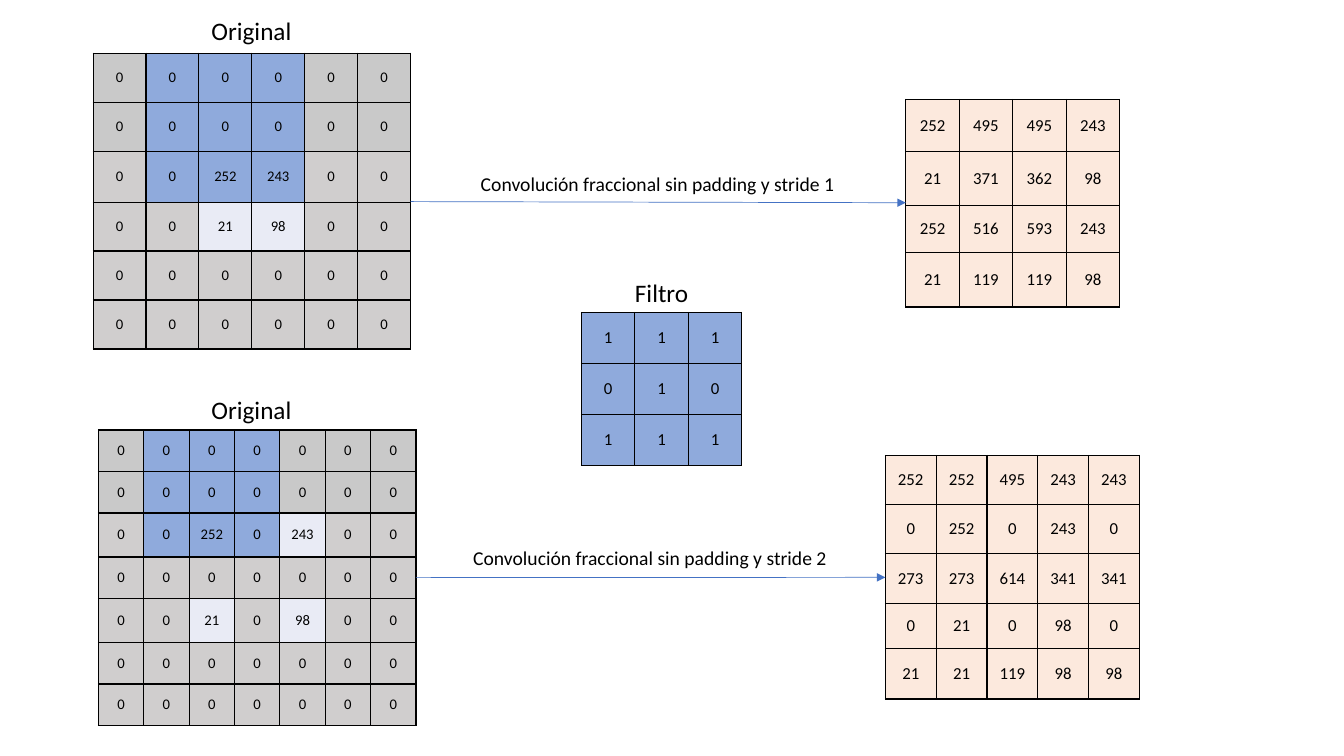
import pptx
import pptx.util
import pptx.dml.color
import pptx.enum.text
import pptx.enum.shapes
import pptx.oxml
import pptx.oxml.ns
import lxml.etree

Pt = pptx.util.Pt
qn = pptx.oxml.ns.qn
CENTER = pptx.enum.text.PP_ALIGN.CENTER
MIDDLE = pptx.enum.text.MSO_ANCHOR.MIDDLE
BLUE, PEACH = "8FAADC", "F4B183"


def color(hex_string):
    return pptx.dml.color.RGBColor.from_string(hex_string)


def write(frame, text, size):
    para = frame.paragraphs[0]
    para.text = text
    para.alignment = CENTER
    para.font.name = "Calibri"
    para.font.size = Pt(size)
    para.font.color.rgb = color("000000")


deck = pptx.Presentation()
deck.slide_width, deck.slide_height = Pt(960), Pt(540)
page = deck.slides.add_slide(deck.slide_layouts[6])

input_stride_1 = """0 0 0 0 0 0
0 0 0 0 0 0
0 0 252 243 0 0
0 0 21 98 0 0
0 0 0 0 0 0
0 0 0 0 0 0"""
input_stride_2 = """0 0 0 0 0 0 0
0 0 0 0 0 0 0
0 0 252 0 243 0 0
0 0 0 0 0 0 0
0 0 21 0 98 0 0
0 0 0 0 0 0 0
0 0 0 0 0 0 0"""
kernel = """1 1 1
0 1 0
1 1 1"""
output_stride_1 = """252 495 495 243
21 371 362 98
252 516 593 243
21 119 119 98"""
output_stride_2 = """252 252 495 243 243
0 252 0 243 0
273 273 614 341 341
0 21 0 98 0
21 21 119 98 98"""

matrices = [
    (input_stride_1, 66.5, 38, 37.8, [35, 35, 36.4, 35, 35, 35], 10.5, None),
    (input_stride_2, 70.3, 307.2, 32.4,
     [29.6, 29.6, 31.5, 29.6, 31.5, 29.6, 29.6], 10.5, None),
    (kernel, 415.3, 223.2, 38.2, [36.4] * 3, 12, BLUE),
    (output_stride_1, 647, 71, 38.2, [37.2, 38.5, 33.8, 38.8], 12, PEACH),
    (output_stride_2, 632.4, 325.4, 36.3, [35, 35, 36, 32, 36], 12, PEACH),
]

for values, left, top, column_width, row_heights, size, matrix_fill in matrices:
    rows = [line.split() for line in values.splitlines()]
    columns = len(rows[0])
    table = page.shapes.add_table(
        len(rows), columns, Pt(left), Pt(top),
        Pt(column_width * columns), Pt(sum(row_heights))).table
    table.first_row = table.horz_banding = False
    for column in table.columns:
        column.width = Pt(column_width)
    for r, row in enumerate(rows):
        table.rows[r].height = Pt(row_heights[r])
        for c, value in enumerate(row):
            if matrix_fill:
                fill = matrix_fill
            elif r < 3 and 1 <= c <= 3:
                fill = BLUE
            elif value != "0":
                fill = "E9EBF5"
            else:
                fill = "C9C9C9" if r < 2 else "D0CECE"
            cell = table.cell(r, c)
            cell.vertical_anchor = MIDDLE
            write(cell.text_frame, value, size)
            cell.fill.solid()
            cell.fill.fore_color.rgb = color(fill)
            properties = cell._tc.get_or_add_tcPr()
            if fill == PEACH:
                tint = properties.find(".//" + qn("a:srgbClr"))
                lxml.etree.SubElement(tint, qn("a:alpha"), val="27000")
            for position, side in enumerate(["lnL", "lnR", "lnT", "lnB"]):
                border = pptx.oxml.parse_xml(
                    f'<a:{side} {pptx.oxml.ns.nsdecls("a")} w="12700"><a:solidFill>'
                    f'<a:srgbClr val="000000"/></a:solidFill></a:{side}>')
                properties.insert(position, border)

labels = [
    ("Original", 138.2, 7.2, 82.8, 28.8, 18),
    ("Original", 138.2, 278, 82.8, 28.8, 18),
    ("Filtro", 415.3, 194.4, 114.5, 28.8, 18),
    ("Convolución fraccional sin padding y stride 1", 334.8, 119.5, 270, 24.5, 14),
    ("Convolución fraccional sin padding y stride 2", 323.3, 386.6, 282.2, 24.5, 14),
]
for text, left, top, width, height, size in labels:
    box = page.shapes.add_textbox(Pt(left), Pt(top), Pt(width), Pt(height))
    box.text_frame.word_wrap = True
    box.text_frame.auto_size = pptx.enum.text.MSO_AUTO_SIZE.SHAPE_TO_FIT_TEXT
    write(box.text_frame, text, size)

for start_x, start_y, end_x, end_y in [(293.3, 144, 647, 144.8),
                                       (297.1, 412.6, 632.4, 412.4)]:
    arrow = page.shapes.add_connector(
        pptx.enum.shapes.MSO_CONNECTOR.STRAIGHT,
        Pt(start_x), Pt(start_y), Pt(end_x), Pt(end_y))
    arrow.line.color.rgb = color("4472C4")
    arrow.line.width = Pt(0.5)
    lxml.etree.SubElement(arrow.line._get_or_add_ln(), qn("a:tailEnd"), type="triangle")
    lxml.etree.SubElement(arrow._element.spPr, qn("a:effectLst"))

deck.save("out.pptx")
